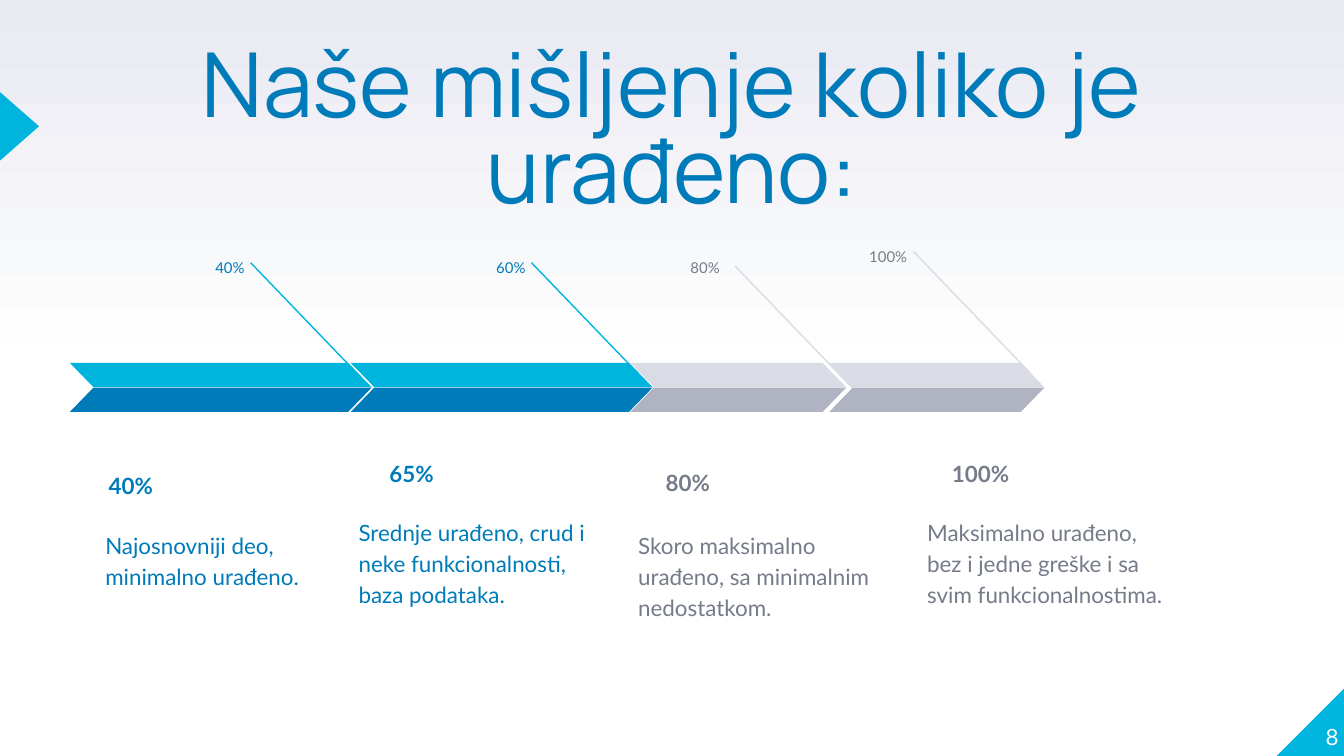
from dataclasses import dataclass

from lxml.etree import SubElement
from pptx import Presentation
from pptx.dml.color import RGBColor
from pptx.enum.shapes import MSO_CONNECTOR, MSO_SHAPE
from pptx.enum.text import MSO_ANCHOR, MSO_AUTO_SIZE, PP_ALIGN
from pptx.oxml.ns import qn
from pptx.shapes.autoshape import Shape
from pptx.shapes.shapetree import GroupShapes, SlideShapes
from pptx.slide import Slide
from pptx.text.text import TextFrame
from pptx.util import Emu, Pt

PX_PER_INCH = 200
EMU_PER_PX = 914400 // PX_PER_INCH


@dataclass(frozen=True)
class Palette:
    dark: str
    light: str
    text: str


@dataclass(frozen=True)
class Theme:
    done: Palette = Palette("007BB9", "00B5DD", "007BB9")
    open: Palette = Palette("B0B3C1", "DADCE5", "757B89")
    white: str = "FFFFFF"
    haze: str = "E9EAF2"
    title_font: str = "Manrope"
    body_font: str = "Lato"
    title_size: int = 48
    body_size: int = 12
    label_size: int = 8


@dataclass(frozen=True)
class Box:
    left: int
    top: int
    width: int
    height: int


@dataclass(frozen=True)
class TextStyle:
    font: str
    size: int
    color: str
    bold: bool = False
    align: PP_ALIGN = PP_ALIGN.LEFT
    anchor: MSO_ANCHOR = MSO_ANCHOR.TOP
    inset: int = 20
    line_spacing: float = 1.15
    space_after: int = 0


@dataclass(frozen=True)
class Stage:
    label: str
    heading: str
    description: str
    palette: Palette
    bar_left: int
    bar_width: int
    label_at: tuple[int, int]
    heading_at: tuple[int, int]
    description_at: tuple[int, int]
    description_width: int
    line_from: tuple[int, int]


THEME = Theme()
BAR_TOP = 540
BAR_HEIGHT = 36
BAR_STEP = 37
LINE_WIDTH, LINE_HEIGHT = 175, 182

STAGES = [
    Stage("40%", "40%", "Najosnovniji deo, minimalno urađeno.", THEME.done,
          104, 449, (232, 361), (142, 653), (137, 766), 378, (373, 391)),
    Stage("60%", "65%", "Srednje urađeno, crud i neke funkcionalnosti, baza podataka.", THEME.done,
          522, 449, (650, 361), (560, 635), (514, 747), 420, (791, 391)),
    Stage("80%", "80%", "Skoro maksimalno urađeno, sa minimalnim nedostatkom.", THEME.open,
          938, 321, (939, 361), (971, 648), (930, 766), 420, (1094, 396)),
    Stage("100%", "100%", "Maksimalno urađeno, bez i jedne greške i sa svim funkcionalnostima.", THEME.open,
          1234, 320, (1218, 345), (1397, 634), (1360, 747), 410, (1359, 374)),
]


def px(value: int) -> Emu:
    return Emu(value * EMU_PER_PX)


def place(box: Box) -> tuple[Emu, Emu, Emu, Emu]:
    return px(box.left), px(box.top), px(box.width), px(box.height)


def write(frame: TextFrame, text: str, style: TextStyle) -> None:
    frame.word_wrap = True
    frame.auto_size = MSO_AUTO_SIZE.NONE
    frame.vertical_anchor = style.anchor
    frame.margin_left = frame.margin_right = px(style.inset)
    frame.margin_top = frame.margin_bottom = px(style.inset)
    frame.text = text
    paragraph = frame.paragraphs[0]
    paragraph.alignment = style.align
    paragraph.line_spacing = style.line_spacing
    paragraph.space_before = Pt(0)
    paragraph.space_after = Pt(style.space_after)
    paragraph.font.name = style.font
    paragraph.font.size = Pt(style.size)
    paragraph.font.bold = style.bold
    paragraph.font.color.rgb = RGBColor.from_string(style.color)


def add_text(shapes: SlideShapes | GroupShapes, box: Box, text: str, style: TextStyle) -> None:
    write(shapes.add_textbox(*place(box)).text_frame, text, style)


def add_filled(shapes: SlideShapes | GroupShapes, kind: MSO_SHAPE, box: Box, color: str,
               flipped: bool = False) -> Shape:
    shape = shapes.add_shape(kind, *place(box))
    shape.shadow.inherit = False
    shape.fill.solid()
    shape.fill.fore_color.rgb = RGBColor.from_string(color)
    shape.line.fill.background()
    if flipped:
        shape.element.spPr.xfrm.set("flipH", "1")
    return shape


def add_pointer(shapes: GroupShapes, start: tuple[int, int], color: str) -> None:
    left, top = start
    pointer = shapes.add_connector(MSO_CONNECTOR.STRAIGHT, px(left), px(top),
                                   px(left + LINE_WIDTH), px(top + LINE_HEIGHT))
    pointer.line.color.rgb = RGBColor.from_string(color)
    pointer.line.width = Pt(0.75)
    SubElement(pointer.element.spPr, qn("a:effectLst"))


def add_stage(slide: Slide, stage: Stage) -> None:
    shapes = slide.shapes.add_group_shape().shapes
    color = stage.palette.text
    add_text(shapes, Box(*stage.label_at, 152, 58), stage.label,
             TextStyle(THEME.body_font, THEME.label_size, color, align=PP_ALIGN.RIGHT, space_after=16))
    add_text(shapes, Box(*stage.heading_at, 368, 110), stage.heading,
             TextStyle(THEME.body_font, THEME.body_size, color, bold=True, anchor=MSO_ANCHOR.BOTTOM))
    add_text(shapes, Box(*stage.description_at, stage.description_width, 180), stage.description,
             TextStyle(THEME.body_font, THEME.body_size, color, space_after=16))
    add_pointer(shapes, stage.line_from, stage.palette.light)
    for row, fill in enumerate((stage.palette.light, stage.palette.dark)):
        box = Box(stage.bar_left, BAR_TOP + row * BAR_STEP, stage.bar_width, BAR_HEIGHT)
        bar = add_filled(shapes, MSO_SHAPE.PARALLELOGRAM, box, fill, flipped=row == 0)
        bar.adjustments[0] = 0.97


def paint_background(slide: Slide) -> None:
    fill = slide.background.fill
    fill.gradient()
    fill.gradient_angle = 90
    for stop, position, color in zip(fill.gradient_stops, (0.5, 1), (THEME.white, THEME.haze)):
        stop.position = position
        stop.color.rgb = RGBColor.from_string(color)


def add_frame(slide: Slide) -> None:
    accent = THEME.done.light
    add_filled(slide.shapes, MSO_SHAPE.RIGHT_TRIANGLE, Box(1900, 1023, 102, 102), accent, flipped=True)
    marker = add_filled(slide.shapes, MSO_SHAPE.ISOSCELES_TRIANGLE, Box(-22, 159, 102, 58), accent)
    marker.rotation = 90
    title = slide.shapes.title
    title.left, title.top, title.width, title.height = place(Box(92, 72, 1816, 236))
    write(title.text_frame, "Naše mišljenje koliko je urađeno:",
          TextStyle(THEME.title_font, THEME.title_size, THEME.done.text,
                    align=PP_ALIGN.CENTER, inset=0, line_spacing=0.8))
    add_text(slide.shapes, Box(1892, 1014, 100, 102), "8",
             TextStyle(THEME.body_font, THEME.body_size, THEME.white, align=PP_ALIGN.RIGHT,
                       anchor=MSO_ANCHOR.BOTTOM, inset=0, line_spacing=1.0))


def main() -> None:
    presentation = Presentation()
    presentation.slide_width, presentation.slide_height = px(2000), px(1125)
    slide = presentation.slides.add_slide(presentation.slide_layouts[5])
    paint_background(slide)
    add_frame(slide)
    for stage in STAGES:
        add_stage(slide, stage)
    presentation.save("out.pptx")


if __name__ == "__main__":
    main()
